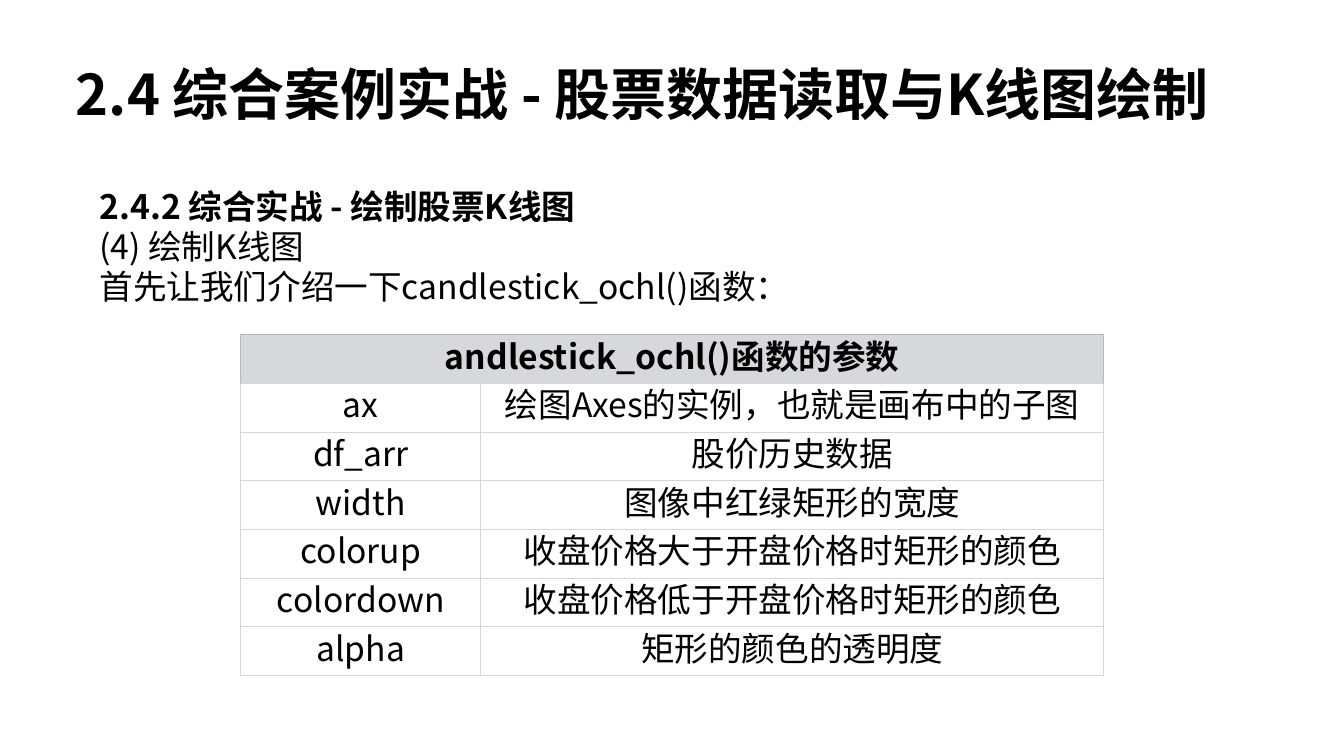
from lxml import etree
from pptx import Presentation
from pptx.dml.color import RGBColor
from pptx.enum.text import MSO_ANCHOR, MSO_AUTO_SIZE, PP_ALIGN
from pptx.oxml.ns import qn
from pptx.util import Pt

LEFT, CENTER = PP_ALIGN.LEFT, PP_ALIGN.CENTER
TOP, FIXED = MSO_ANCHOR.TOP, MSO_AUTO_SIZE.NONE
TITLE_ONLY = 5

TITLE = "2.4 综合案例实战 - 股票数据读取与K线图绘制"
INTRO = [
    "2.4.2 综合实战 - 绘制股票K线图",
    "(4) 绘制K线图",
    "首先让我们介绍一下candlestick_ochl()函数：",
]
HEAD = "andlestick_ochl()函数的参数"
PARAMS = [
    ("ax", "绘图Axes的实例，也就是画布中的子图"),
    ("df_arr", "股价历史数据"),
    ("width", "图像中红绿矩形的宽度"),
    ("colorup", "收盘价格大于开盘价格时矩形的颜色"),
    ("colordown", "收盘价格低于开盘价格时矩形的颜色"),
    ("alpha", "矩形的颜色的透明度"),
]


def color(code):
    return RGBColor.from_string(code)


def write(para, text, size=24, bold=False, align=LEFT, ink="000000",
          face="Noto Sans CJK SC"):
    """Put formatted text into a paragraph."""
    para.alignment = align
    para.line_spacing = Pt(size * 1.2)
    run = para.add_run()
    run.text = text
    font = run.font
    font.size, font.bold, font.name = Pt(size), bold, face
    font.color.rgb = color(ink)
    east = etree.SubElement(run._r.get_or_add_rPr(), qn("a:ea"))
    east.set("typeface", face)


class Deck:
    """Holds the style and the current slide."""
    pale, gray, edge, rim = "FFFFFF", "D7D8D9", "D6D6D6", "B7B8B8"

    def __init__(self):
        self.prs = Presentation()
        self.prs.slide_width, self.prs.slide_height = Pt(960), Pt(540)

    def page(self):
        layout = self.prs.slide_layouts[TITLE_ONLY]
        self.slide = self.prs.slides.add_slide(layout)

    def frame(self, shape):
        frame = shape.text_frame
        frame.word_wrap, frame.auto_size = True, FIXED
        frame.vertical_anchor = TOP
        return frame

    def title(self, text, x, y, w, h):
        shape = self.slide.shapes.title
        shape.left, shape.top, shape.width, shape.height = map(Pt, (x, y, w, h))
        write(self.frame(shape).paragraphs[0], text, size=40, bold=True)

    def text(self, lines, x, y, w, h):
        box = self.slide.shapes.add_textbox(*map(Pt, (x, y, w, h)))
        frame = self.frame(box)
        for i, line in enumerate(lines):
            para = frame.add_paragraph() if i else frame.paragraphs[0]
            write(para, line, bold=i == 0)

    def border(self, cell, sides):
        props = cell._tc.get_or_add_tcPr()
        for i, (side, code) in enumerate(sides.items()):
            line = etree.Element(qn("a:ln" + side), w=str(Pt(0.75)))
            fill = etree.SubElement(line, qn("a:solidFill"))
            etree.SubElement(fill, qn("a:srgbClr"), val=code)
            props.insert(i, line)

    def cell(self, cell, text, head=False):
        cell.margin_left = cell.margin_right = 0
        cell.margin_top = cell.margin_bottom = Pt(2.88)
        cell.fill.solid()
        cell.fill.fore_color.rgb = color(self.gray if head else self.pale)
        sides = dict.fromkeys("LRTB", self.edge)
        if head:
            sides.update(dict.fromkeys("LRT", self.rim))
        self.border(cell, sides)
        if text:
            write(cell.text_frame.paragraphs[0], text, bold=head, align=CENTER)

    def table(self, head, rows, x, y, widths, step):
        rows = [(head, "")] + rows
        size = sum(widths), step * len(rows)
        table = self.slide.shapes.add_table(
            len(rows), len(widths), *map(Pt, (x, y, *size))).table
        for col, w in zip(table.columns, widths):
            col.width = Pt(w)
        for r, row in enumerate(rows):
            table.rows[r].height = Pt(step)
            for c, text in enumerate(row):
                self.cell(table.cell(r, c), text, head=r == 0)
        table.cell(0, 0).merge(table.cell(0, len(widths) - 1))


def main():
    deck = Deck()
    deck.page()
    # Heading on one line, and introduction
    deck.title(TITLE, 47, 39, 890, 55.5)
    deck.text(INTRO, 64, 129, 849, 94.5)
    # Function parameters
    deck.table(HEAD, PARAMS, 172, 239, (171.4, 445), 34.8)
    deck.prs.save("out.pptx")


if __name__ == "__main__":
    main()
